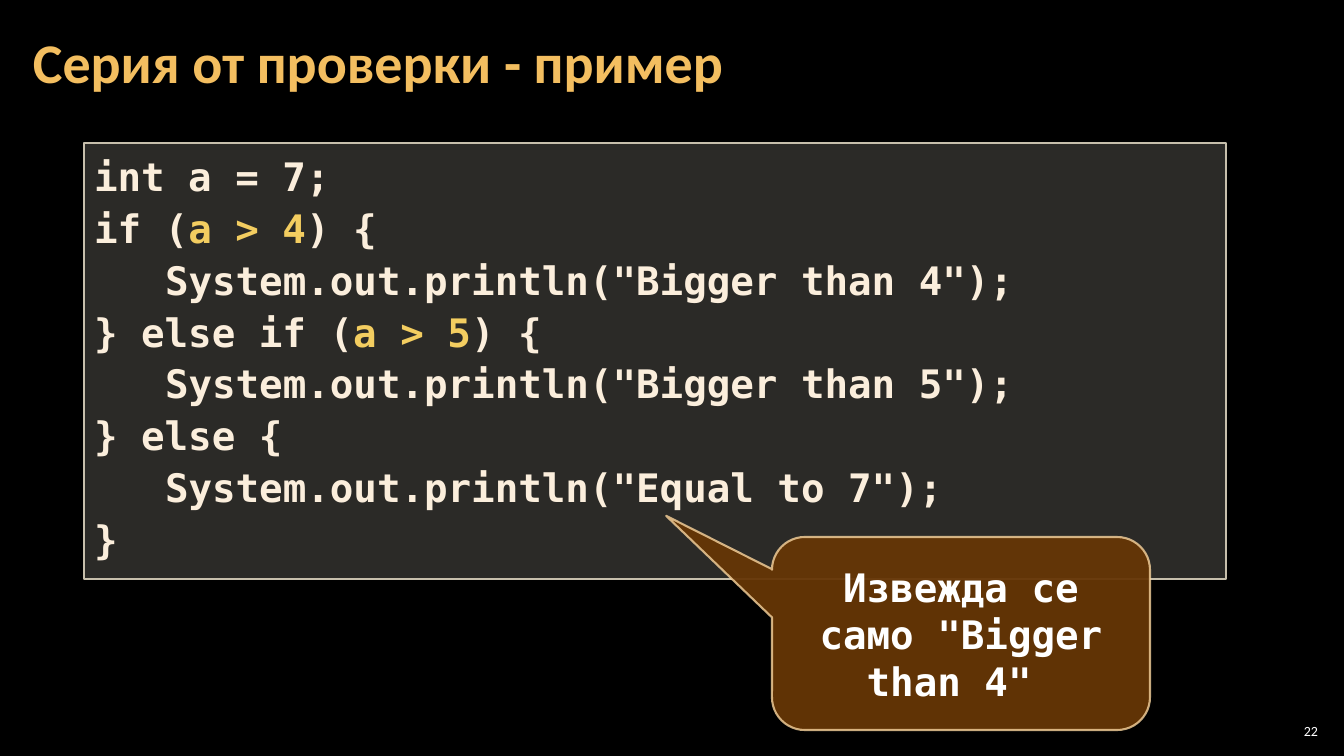
from lxml.etree import SubElement
from pptx import Presentation
from pptx.dml.color import RGBColor
from pptx.enum.shapes import MSO_SHAPE
from pptx.enum.text import MSO_ANCHOR, MSO_AUTO_SIZE, PP_ALIGN
from pptx.oxml.ns import qn
from pptx.util import Pt

BLACK = RGBColor(0x00, 0x00, 0x00)
WHITE = RGBColor(0xFF, 0xFF, 0xFF)
GOLD = RGBColor(0xF3, 0xBE, 0x60)
CREAM = RGBColor(0xFB, 0xEE, 0xDC)
YELLOW = RGBColor(0xF3, 0xCD, 0x60)
SAND = RGBColor(0xD9, 0xD5, 0xC7)
STONE = RGBColor(0xC7, 0xBF, 0xAC)
BROWN = RGBColor(0x66, 0x36, 0x06)
PEACH = RGBColor(0xF8, 0xD4, 0x9E)

SLIDE_WIDTH, SLIDE_HEIGHT = 1344, 756
EMU_PER_PX = 12192000 / SLIDE_WIDTH
CODE_INDENT = 71  # three monospaced characters

TITLE_FONT = {"name": "Calibri", "size": Pt(40), "bold": True}
NUMBER_FONT = {"name": "Calibri", "size": Pt(10)}
CODE_FONT = {"name": "DejaVu Sans Mono", "size": Pt(28), "bold": True}

# Each line: indent level, then (text, colour) pieces
CODE_LINES = [
    (0, [("int a = 7;", CREAM)]),
    (0, [("if (", CREAM), ("a > 4", YELLOW), (") {", CREAM)]),
    (1, [('System.out.println("Bigger than 4");', CREAM)]),
    (0, [("} else if (", CREAM), ("a > 5", YELLOW), (") {", CREAM)]),
    (1, [('System.out.println("Bigger than 5");', CREAM)]),
    (0, [("} else {", CREAM)]),
    (1, [('System.out.println("Equal to 7");', CREAM)]),
    (0, [("}", CREAM)]),
]


def px(length):
    return round(length * EMU_PER_PX)


def apply(target, values):
    for attribute, value in values.items():
        setattr(target, attribute, value)


def set_opacity(fill, percent):
    colour = fill._xPr.find(qn("a:solidFill"))[0]
    SubElement(colour, qn("a:alpha"), val=str(percent * 1000))


class SlideBuilder:
    def __init__(self, presentation):
        layout = presentation.slide_layouts.get_by_name("Title Only")
        self.slide = presentation.slides.add_slide(layout)
        background = self.slide.background.fill
        background.solid()
        background.fore_color.rgb = BLACK

    def put_lines(self, shape, lines, font, anchor, align=PP_ALIGN.LEFT,
                  spacing=1.0, insets=(10, 5)):
        frame = shape.text_frame
        side, edge = map(px, insets)
        apply(frame, {
            "word_wrap": True, "auto_size": MSO_AUTO_SIZE.NONE,
            "vertical_anchor": anchor,
            "margin_left": side, "margin_right": side,
            "margin_top": edge, "margin_bottom": edge,
        })
        for index, (level, pieces) in enumerate(lines):
            paragraph = frame.add_paragraph() if index else frame.paragraphs[0]
            apply(paragraph, {"alignment": align, "line_spacing": spacing})
            if level:
                paragraph._p.get_or_add_pPr().set("marL", str(px(level * CODE_INDENT)))
            for text, colour in pieces:
                run = paragraph.add_run()
                run.text = text
                apply(run.font, font)
                run.font.color.rgb = colour

    def title(self, box, text):
        heading = self.slide.shapes.title
        apply(heading, dict(zip(("left", "top", "width", "height"), map(px, box))))
        self.put_lines(heading, [(0, [(text, GOLD)])], TITLE_FONT,
                       MSO_ANCHOR.MIDDLE, spacing=0.9, insets=(12, 4))

    def text(self, box, text):
        label = self.slide.shapes.add_textbox(*map(px, box))
        self.put_lines(label, [(0, [(text, WHITE)])], NUMBER_FONT,
                       MSO_ANCHOR.MIDDLE, PP_ALIGN.RIGHT, insets=(4, 4))

    def panel(self, kind, box, fill, line, width, fill_opacity, line_opacity=100):
        shape = self.slide.shapes.add_shape(kind, *map(px, box))
        shape.shadow.inherit = False
        shape.line.width = Pt(width)
        for paint, colour, opacity in ((shape.fill, fill, fill_opacity),
                                       (shape.line.fill, line, line_opacity)):
            paint.solid()
            paint.fore_color.rgb = colour
            if opacity < 100:
                set_opacity(paint, opacity)
        return shape

    def code(self, box, lines):
        listing = self.panel(MSO_SHAPE.RECTANGLE, box, SAND, STONE, 1, 20)
        self.put_lines(listing, lines, CODE_FONT, MSO_ANCHOR.TOP, spacing=1.1)

    def callout(self, box, text, adjustments):
        bubble = self.panel(MSO_SHAPE.ROUNDED_RECTANGULAR_CALLOUT, box,
                            BROWN, PEACH, 1.5, 95, 80)
        for index, value in enumerate(adjustments):
            bubble.adjustments[index] = value
        self.put_lines(bubble, [(0, [(text, WHITE)])], CODE_FONT,
                       MSO_ANCHOR.MIDDLE, PP_ALIGN.CENTER)


def main():
    presentation = Presentation()
    presentation.slide_width = px(SLIDE_WIDTH)
    presentation.slide_height = px(SLIDE_HEIGHT)
    builder = SlideBuilder(presentation)

    # Heading and slide number
    builder.title((21, 4, 1055, 122), "Серия от проверки - пример")
    builder.text((1275, 720, 47, 21), "22")

    # Code example with its explanation
    builder.code((84, 143, 1142, 436), CODE_LINES)
    builder.callout((772, 537, 378, 193), 'Извежда се само "Bigger than 4" ',
                    (-0.78, -0.61, 0.17))

    presentation.save("out.pptx")


if __name__ == "__main__":
    main()
